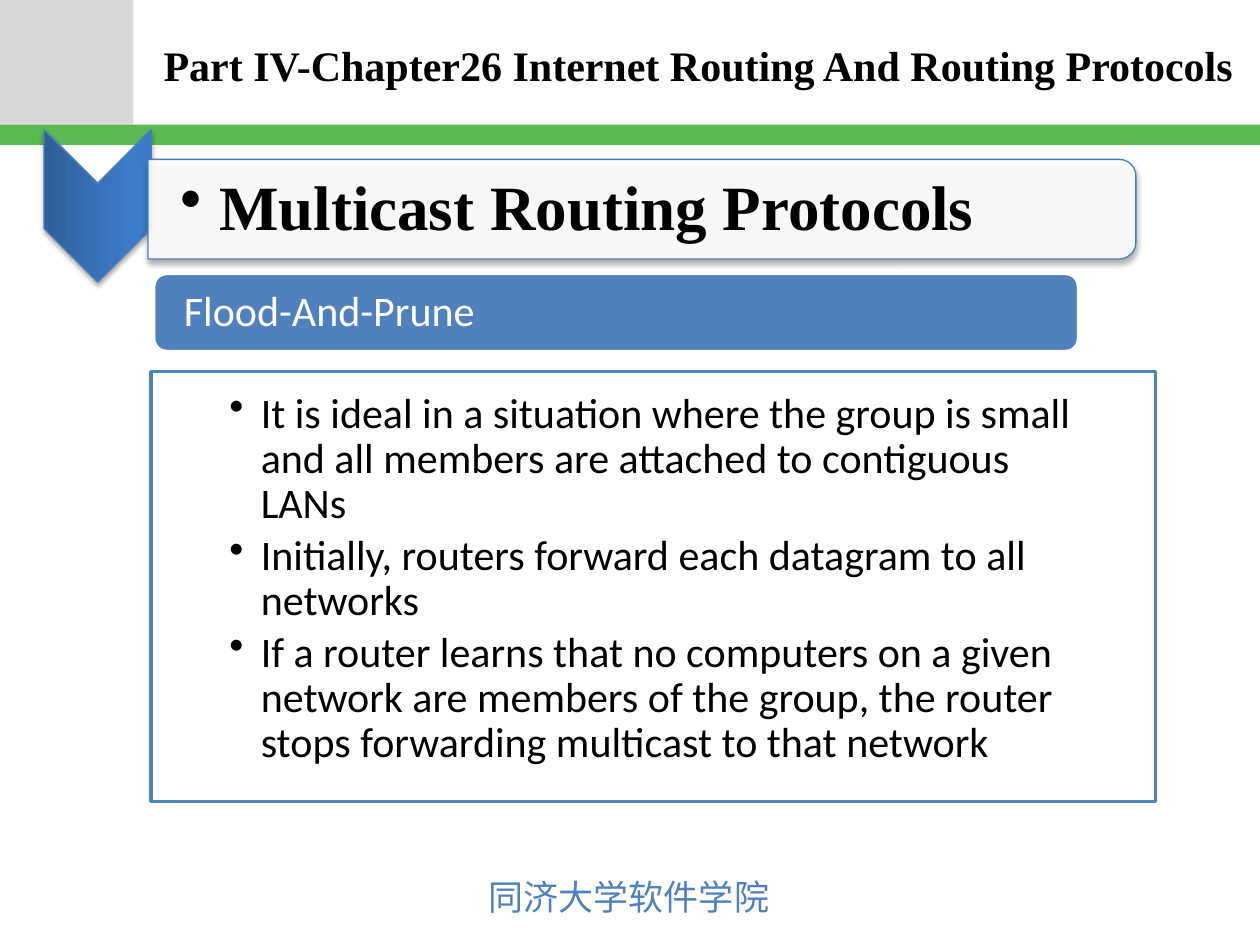
import pptx
import pptx.util
import pptx.dml.color
import pptx.enum.shapes
import pptx.enum.text
import pptx.oxml
from pptx.oxml.ns import nsdecls, qn

# Content
TITLE = "Part IV-Chapter26 Internet Routing And Routing Protocols"
HEADING = "Multicast Routing Protocols"
BANNER = "Flood-And-Prune"
POINTS = [
    "It is ideal in a situation where the group is small and all members "
    "are attached to contiguous LANs",
    "Initially, routers forward each datagram to all networks",
    "If a router learns that no computers on a given network are members "
    "of the group, the router stops forwarding multicast to that network",
]
FOOTER = "同济大学软件学院"

# Style
SERIF, SANS, CJK = "Times New Roman", "Calibri", "Noto Sans CJK JP"
BLACK, WHITE, BLUE, EDGE = "000000", "FFFFFF", "4F81BD", "4B7EBC"
GREY, GREEN = "D9D9D9", "5AB953"
ARROW_STOPS = [(0, "2F5F99"), (80, "3D7CC7"), (100, "3A7CCB")]

# Layout in inches
WIDTH, HEIGHT = 10, 7.5
HEADER_HEIGHT, BAR_HEIGHT = 0.99, 0.16
LEFT = 1.2

SHAPES = pptx.enum.shapes.MSO_SHAPE
MIDDLE = pptx.enum.text.MSO_ANCHOR.MIDDLE
TOP = pptx.enum.text.MSO_ANCHOR.TOP
Inches, Pt = pptx.util.Inches, pptx.util.Pt


def color(value):
    return pptx.dml.color.RGBColor.from_string(value)


def xml(tag, attributes="", children=""):
    return pptx.oxml.parse_xml(
        f'<a:{tag} {nsdecls("a")} {attributes}>{children}</a:{tag}>')


def add_shape(kind, box, fill, line=None, line_width=0.75, rotation=0):
    shape = slide.shapes.add_shape(kind, *map(Inches, box))
    shape.shadow.inherit = False
    shape.rotation = rotation
    shape.fill.solid()
    shape.fill.fore_color.rgb = color(fill)
    if line:
        shape.line.color.rgb = color(line)
        shape.line.width = Pt(line_width)
    else:
        shape.line.fill.background()
    return shape


def add_shadow(shape):
    effects = shape._element.spPr.find(qn("a:effectLst"))
    effects.append(xml(
        "outerShdw",
        f'blurRad="{Pt(3.1)}" dist="{Pt(1.8)}" dir="5400000" rotWithShape="0"',
        f'<a:srgbClr val="{BLACK}"><a:alpha val="35000"/></a:srgbClr>'))


def set_opacity(shape, percent):
    fill = shape._element.spPr.find(qn("a:solidFill"))
    fill[0].append(xml("alpha", f'val="{percent * 1000}"'))


def set_gradient(shape, stops):
    fill = shape._element.spPr.find(qn("a:solidFill"))
    stop_xml = "".join(
        f'<a:gs pos="{position * 1000}"><a:srgbClr val="{value}"/></a:gs>'
        for position, value in stops)
    fill.getparent().replace(fill, xml(
        "gradFill", 'rotWithShape="1"',
        f'<a:gsLst>{stop_xml}</a:gsLst><a:lin ang="16200000" scaled="0"/>'))


def add_text_box(box):
    return slide.shapes.add_textbox(*map(Inches, box))


def write(shape, texts, font, size, text_color, insets=(0.1, 0.05, 0.1, 0.05),
          anchor=MIDDLE, wrap=True, bold=False, indent=0, line_spacing=None,
          space_after=None):
    frame = shape.text_frame
    frame.word_wrap = wrap
    frame.vertical_anchor = anchor
    (frame.margin_left, frame.margin_top,
     frame.margin_right, frame.margin_bottom) = map(Inches, insets)
    frame.text = "\n".join(texts)
    for paragraph in frame.paragraphs:
        paragraph.alignment = pptx.enum.text.PP_ALIGN.LEFT
        if line_spacing:
            paragraph.line_spacing = line_spacing
        if space_after:
            paragraph.space_after = Pt(space_after)
        if indent:
            paragraph.level = 1
            properties = paragraph._p.get_or_add_pPr()
            properties.set("marL", str(Inches(indent)))
            properties.set("indent", str(-Inches(indent)))
            properties.append(xml("buChar", 'char="•"'))
        paragraph.font.name = font
        paragraph.font.size = Pt(size)
        paragraph.font.bold = bold
        paragraph.font.color.rgb = color(text_color)
        if font == CJK:
            latin = paragraph.font._element.find(qn("a:latin"))
            latin.addnext(xml("ea", f'typeface="{font}"'))


presentation = pptx.Presentation()
presentation.slide_width = Inches(WIDTH)
presentation.slide_height = Inches(HEIGHT)
slide = presentation.slides.add_slide(presentation.slide_layouts[6])

# Header block, green bar, footer and title
add_shape(SHAPES.RECTANGLE, (0, 0, 1.06, HEADER_HEIGHT), GREY)
add_shape(SHAPES.RECTANGLE, (0, HEADER_HEIGHT, WIDTH, BAR_HEIGHT), GREEN)
write(add_text_box((3.78, 6.9, 2.45, 0.44)), [FOOTER], CJK, 20, BLUE,
      anchor=TOP, wrap=False)
write(add_text_box((LEFT, 0.02, 8.76, 0.98)), [TITLE], SERIF, 24, BLACK,
      bold=True)

# Arrow and section heading, both turned a quarter
arrow = add_shape(SHAPES.CHEVRON, (0.17, 1.21, 1.21, 0.85), BLUE, EDGE,
                  rotation=90)
set_gradient(arrow, ARROW_STOPS)
add_shadow(arrow)
panel = add_shape(SHAPES.ROUND_2_SAME_RECTANGLE, (4.7, -2.26, 0.79, 7.84),
                  WHITE, EDGE, rotation=90)
set_opacity(panel, 90)
add_shadow(panel)
write(add_text_box((1.18, 1.31, 7.8, 0.71)), [HEADING], SERIF, 36, BLACK,
      insets=(0.25, 0.02, 0.02, 0.02), bold=True, indent=0.31,
      line_spacing=0.9)

# Framed points
frame_box = add_shape(SHAPES.RECTANGLE, (LEFT, 2.95, 7.97, 3.41), WHITE, BLUE, 2)
set_opacity(frame_box, 90)
write(frame_box, POINTS, SANS, 24, BLACK, insets=(0.62, 0.16, 0.62, 0.19),
      anchor=TOP, indent=0.25, line_spacing=0.9, space_after=3.5)

# Banner
banner = add_shape(SHAPES.ROUNDED_RECTANGLE, (1.22, 2.17, 7.34, 0.62), BLUE,
                   WHITE, 2)
write(banner, [BANNER], SANS, 24, WHITE, insets=(0.21, 0, 0.21, 0),
      line_spacing=0.9)

presentation.save("out.pptx")
